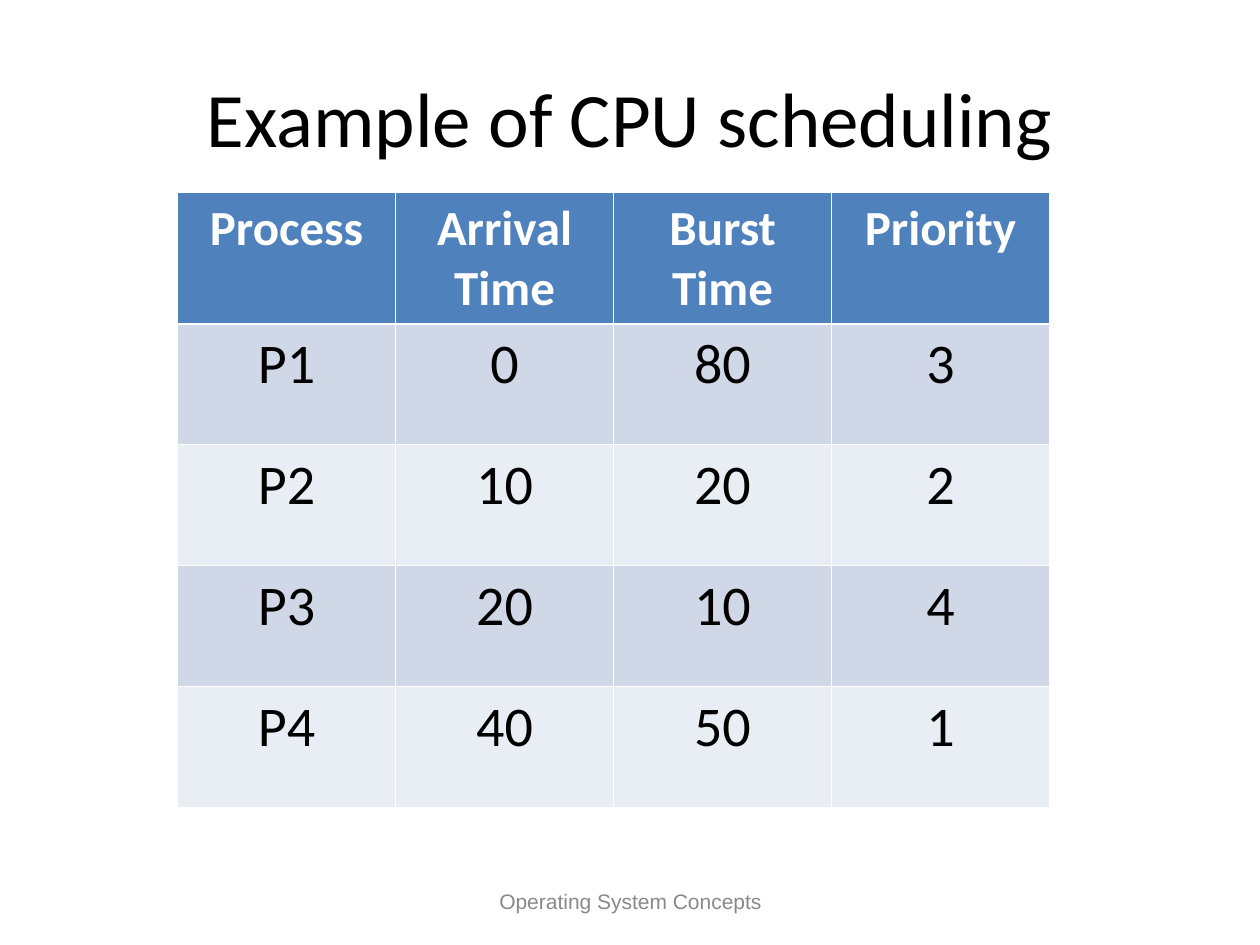
"""Build the CPU scheduling example slide."""
from lxml import etree
from pptx import Presentation
from pptx.dml.color import RGBColor
from pptx.enum.text import MSO_ANCHOR, PP_ALIGN
from pptx.oxml.ns import qn
from pptx.util import Inches, Pt

CENTER = PP_ALIGN.CENTER
MIDDLE = MSO_ANCHOR.MIDDLE
BLACK = RGBColor(0x00, 0x00, 0x00)
WHITE = RGBColor(0xFF, 0xFF, 0xFF)
GRAY = RGBColor(0x89, 0x89, 0x89)
HEADER_BLUE = RGBColor(0x4F, 0x81, 0xBD)
BANDS = [RGBColor(0xE9, 0xED, 0xF4), RGBColor(0xD0, 0xD8, 0xE8)]

ROWS = [
    ["Process", "Arrival Time", "Burst Time", "Priority"],
    ["P1", "0", "80", "3"],
    ["P2", "10", "20", "2"],
    ["P3", "20", "10", "4"],
    ["P4", "40", "50", "1"],
]


def set_text(tf, text, font, size, color, bold=False):
    tf.text = text
    p = tf.paragraphs[0]
    p.alignment = CENTER
    r = p.runs[0]
    r.font.name = font
    r.font.size = Pt(size)
    r.font.bold = bold
    r.font.color.rgb = color


def set_border(cell, side, width):
    ln = etree.SubElement(cell._tc.get_or_add_tcPr(), qn(f"a:{side}"), w=str(Pt(width)))
    fill = etree.SubElement(ln, qn("a:solidFill"))
    etree.SubElement(fill, qn("a:srgbClr"), val=str(WHITE))


prs = Presentation()
prs.slide_width = Inches(10)
prs.slide_height = Inches(7.5)
s = prs.slides.add_slide(prs.slide_layouts[6])

for text, box, font, size, color in [
    ("Example of CPU scheduling", (0.5, 0.3, 9, 1.25), "Calibri", 44, BLACK),
    ("Operating System Concepts", (3.42, 6.95, 3.17, 0.4), "Arial", 12, GRAY),
]:
    tf = s.shapes.add_textbox(*[Inches(v) for v in box]).text_frame
    tf.word_wrap = True
    tf.vertical_anchor = MIDDLE
    set_text(tf, text, font, size, color)

table = s.shapes.add_table(
    len(ROWS), len(ROWS[0]), Inches(1.41), Inches(1.53), Inches(6.92), Inches(4.88)
).table
for col in table.columns:
    col.width = Inches(1.73)

for i, row in enumerate(ROWS):
    header = i == 0
    table.rows[i].height = Inches(1.04 if header else 0.96)
    for j, text in enumerate(row):
        cell = table.cell(i, j)
        set_text(cell.text_frame, text, "Calibri", 28 if header else 32,
                 WHITE if header else BLACK, header)
        set_border(cell, "lnL", 0.45)
        set_border(cell, "lnR", 0.45)
        set_border(cell, "lnT", 1.47 if i == 1 else 0.45)
        set_border(cell, "lnB", 1.47 if header else 0.45)
        cell.fill.solid()
        cell.fill.fore_color.rgb = HEADER_BLUE if header else BANDS[i % 2]

prs.save("out.pptx")
